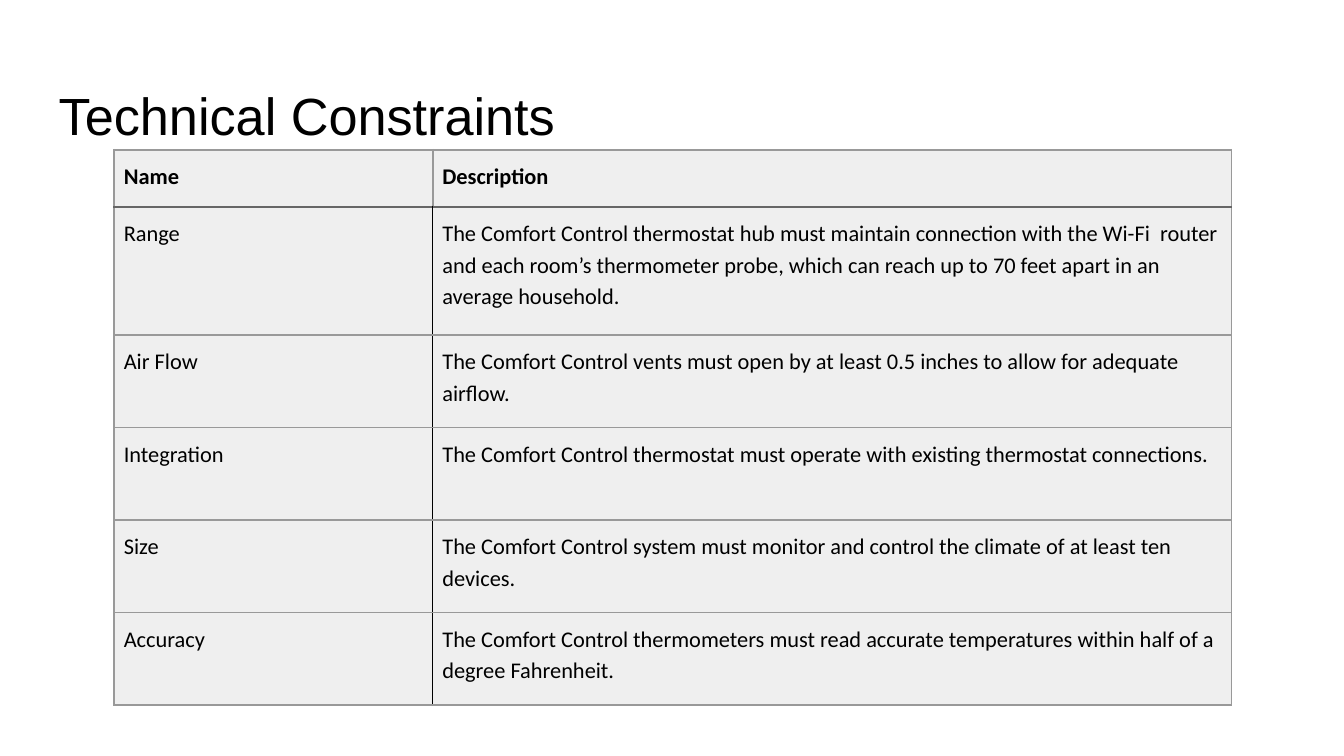
from dataclasses import dataclass

from pptx import Presentation
from pptx.dml.color import RGBColor as Rgb
from pptx.enum.text import MSO_ANCHOR as Anchor, PP_ALIGN as Align
from pptx.oxml.ns import qn
from pptx.util import Cm, Pt
from lxml.etree import SubElement


@dataclass(frozen=True)
class Theme:
    ink: str = "000000"
    cell: str = "EFEFEF"
    rule: str = "999999"
    header_rule: str = "666666"
    title_font: str = "Arial"
    body_font: str = "Calibri"
    title_size: float = 28
    body_size: float = 12


theme = Theme()


def write_text(frame, text, font_name, size, bold=False):
    para = frame.paragraphs[0]
    para.alignment = Align.LEFT
    span = para.add_run()
    span.text = text
    formats = {"name": font_name, "size": Pt(size), "bold": bold}
    for name, value in formats.items():
        setattr(span.font, name, value)
    span.font.color.rgb = Rgb.from_string(theme.ink)
    return para


def add_border(cell, side, color, width):
    properties = cell._tc.get_or_add_tcPr()
    line = SubElement(properties, qn(f"a:ln{side}"), w=str(Pt(width)))
    fill = SubElement(line, qn("a:solidFill"))
    SubElement(fill, qn("a:srgbClr"), val=color)


# Deck and page
deck = Presentation()
deck.slide_width, deck.slide_height = Cm(25.4), Cm(14.29)
page = deck.slides.add_slide(deck.slide_layouts[5])

# Title
title = page.shapes.title
title_box = {"left": 0.86, "top": 1.24, "width": 23.67, "height": 1.6}
for name, value in title_box.items():
    setattr(title, name, Cm(value))
title_format = {
    "margin_left": Cm(0.25), "margin_right": Cm(0.25),
    "margin_top": Cm(0.34), "margin_bottom": Cm(0),
    "vertical_anchor": Anchor.TOP, "word_wrap": True,
}
for name, value in title_format.items():
    setattr(title.text_frame, name, value)
write_text(title.text_frame, "Technical Constraints",
           theme.title_font, theme.title_size)

# Constraints table
constraints = [
    ("Name", "Description"),
    ("Range", "The Comfort Control thermostat hub must maintain connection with "
              "the Wi-Fi  router and each room’s thermometer probe, which can "
              "reach up to 70 feet apart in an average household."),
    ("Air Flow", "The Comfort Control vents must open by at least 0.5 inches "
                 "to allow for adequate airflow."),
    ("Integration", "The Comfort Control thermostat must operate with existing "
                    "thermostat connections."),
    ("Size", "The Comfort Control system must monitor and control the climate "
             "of at least ten devices."),
    ("Accuracy", "The Comfort Control thermometers must read accurate "
                 "temperatures within half of a degree Fahrenheit."),
]
column_widths = [6.02, 15.09]
row_heights = [1.08, 2.42] + [1.75] * 4
table = page.shapes.add_table(
    len(constraints), len(column_widths), Cm(2.16), Cm(2.83),
    Cm(sum(column_widths)), Cm(sum(row_heights))).table
table.first_row = table.horz_banding = False
for column, width in zip(table.columns, column_widths):
    column.width = Cm(width)
for row, height in zip(table.rows, row_heights):
    row.height = Cm(height)

# Cells: a heavy rule under the header, a black divider below it
grid = (theme.rule, 1)
header_line = (theme.header_rule, 1.5)
cell_format = {f"margin_{side}": Cm(0.18)
               for side in ("left", "right", "top", "bottom")}
cell_format["vertical_anchor"] = Anchor.TOP
for row_index, texts in enumerate(constraints):
    is_header = row_index == 0
    divider = grid if is_header else (theme.ink, 0.75)
    for column_index, text in enumerate(texts):
        cell = table.cell(row_index, column_index)
        for name, value in cell_format.items():
            setattr(cell, name, value)
        borders = {
            "L": divider if column_index == 1 else grid,
            "R": divider if column_index == 0 else grid,
            "T": header_line if row_index == 1 else grid,
            "B": header_line if is_header else grid,
        }
        for side, (color, width) in borders.items():
            add_border(cell, side, color, width)
        cell.fill.solid()
        cell.fill.fore_color.rgb = Rgb.from_string(theme.cell)
        para = write_text(cell.text_frame, text, theme.body_font,
                          theme.body_size, bold=is_header)
        para.line_spacing = 1.15

deck.save("out.pptx")
